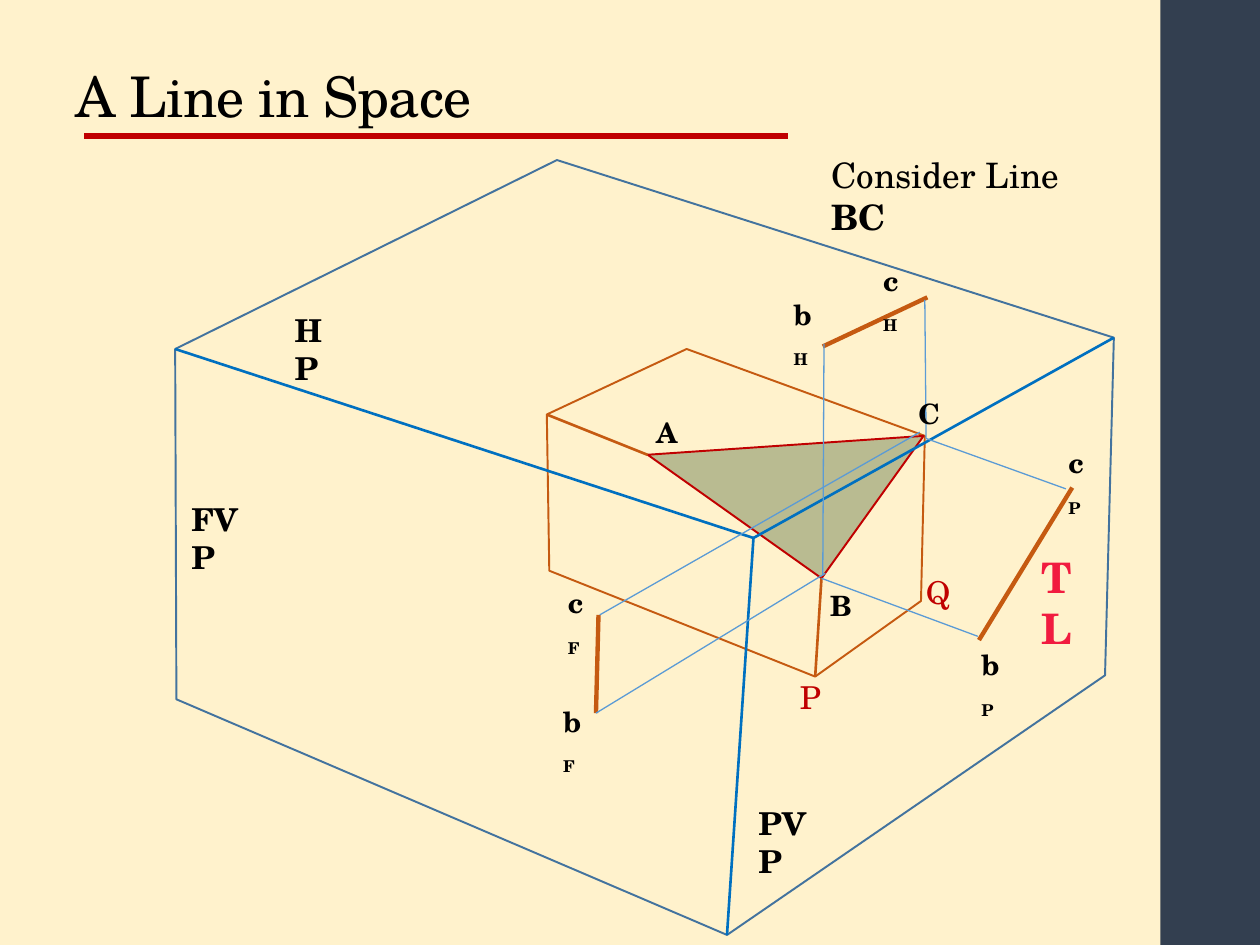
import dataclasses
import typing

import pptx
import pptx.dml.color
import pptx.enum.shapes
import pptx.enum.text
import pptx.oxml.ns
import pptx.oxml.xmlchemy
import pptx.util
from pptx.util import Inches

FONT = "TeX Gyre Schola"
COLORS = {
    "background": "FFF2CC", "panel": "333F50", "text": "000000",
    "red": "C00000", "true_length": "F11B3F", "box": "43739E",
    "fold": "0070C0", "view": "C55A11", "projector": "5B9BD5",
    "plane": "385723",
}
Point = tuple[float, float]


@dataclasses.dataclass(frozen=True)
class Segment:
    start: Point
    end: Point
    color: str
    weight: float


@dataclasses.dataclass(frozen=True)
class Outline:
    points: list[Point]
    color: str
    fill: str | None = None
    opacity: int = 100


@dataclasses.dataclass(frozen=True)
class Label:
    text: str
    left: float
    top: float
    width: float
    height: float = 0.37
    size: int = 16
    color: str = "text"
    bold: bool = True
    subscript: str = ""


def rgb(name: str) -> pptx.dml.color.RGBColor:
    return pptx.dml.color.RGBColor.from_string(COLORS[name])


def apply_font(font: typing.Any, size: float, color: str, bold: bool = False) -> None:
    formats = {"name": FONT, "size": pptx.util.Pt(size), "bold": bold}
    for attribute, value in formats.items():
        setattr(font, attribute, value)
    font.color.rgb = rgb(color)


def draw_segment(shapes: typing.Any, segment: Segment) -> None:
    ends = [Inches(value) for value in segment.start + segment.end]
    line = shapes.add_connector(pptx.enum.shapes.MSO_CONNECTOR.STRAIGHT, *ends)
    line.line.color.rgb = rgb(segment.color)
    line.line.width = pptx.util.Pt(segment.weight)
    line._element.spPr.append(pptx.oxml.xmlchemy.OxmlElement("a:effectLst"))


def draw_outline(shapes: typing.Any, outline: Outline) -> None:
    start, *rest = [(Inches(x), Inches(y)) for x, y in outline.points]
    builder = shapes.build_freeform(*start)
    builder.add_line_segments(rest, close=True)
    solid = builder.convert_to_shape()
    solid.shadow.inherit = False
    solid.line.color.rgb = rgb(outline.color)
    solid.line.width = pptx.util.Pt(1.1)
    if outline.fill is None:
        solid.fill.background()
        return
    solid.fill.solid()
    solid.fill.fore_color.rgb = rgb(outline.fill)
    fill_color = solid._element.spPr.find(
        "/".join(map(pptx.oxml.ns.qn, ("a:solidFill", "a:srgbClr"))))
    alpha = pptx.oxml.xmlchemy.OxmlElement("a:alpha")
    alpha.set("val", str(outline.opacity * 1000))
    fill_color.append(alpha)


def draw_label(shapes: typing.Any, label: Label) -> typing.Any:
    place = (label.left, label.top, label.width, label.height)
    frame = shapes.add_textbox(*map(Inches, place)).text_frame
    frame.word_wrap = True
    frame.auto_size = pptx.enum.text.MSO_AUTO_SIZE.SHAPE_TO_FIT_TEXT
    paragraph = frame.paragraphs[0]
    main_run = paragraph.add_run()
    main_run.text = label.text
    apply_font(main_run.font, label.size, label.color, label.bold)
    if label.subscript:
        index = paragraph.add_run()
        index.text = label.subscript
        apply_font(index.font, label.size, label.color, label.bold)
        index.font._element.set("baseline", "-25000")
    return paragraph


# Corners shared by the lines and solids
BOX_LEFT, BOX_RIGHT = (1.39, 2.77), (8.84, 2.68)
BOX_FRONT, BOX_FOOT = (5.98, 4.27), (5.77, 7.42)
INNER_LEFT, INNER_FOOT = (4.34, 3.29), (6.47, 5.37)
A, B, C = (5.14, 3.61), (6.52, 4.59), (7.33, 3.46)
B_FRONT, C_FRONT = (4.73, 5.66), (4.75, 4.88)
B_TOP, C_TOP = (6.53, 2.75), (7.36, 2.36)
B_SIDE, C_SIDE = (7.77, 5.08), (8.51, 3.87)

INNER_OUTLINES = [
    Outline([INNER_LEFT, (4.36, 4.53), INNER_FOOT, (7.31, 4.77), (7.34, 3.46),
             (5.45, 2.77)], "view"),
    Outline([A, C, B], "red", "plane", 35),
]
INNER_EDGES = [Segment(INNER_LEFT, A, "view", 1.5),
               Segment(B, INNER_FOOT, "view", 1.5)]
OUTER_BOX = Outline([BOX_LEFT, (1.4, 5.55), BOX_FOOT, (8.77, 5.36), BOX_RIGHT,
                     (4.42, 1.27)], "box")
FOLDS = [Segment(end, BOX_FRONT, "fold", 1.5)
         for end in (BOX_LEFT, BOX_RIGHT, BOX_FOOT)]
VIEWS = [Segment(start, end, "view", 2.5) for start, end in
         ((B_FRONT, C_FRONT), (B_TOP, C_TOP), (B_SIDE, C_SIDE))]
PROJECTORS = [Segment(start, end, "projector", 0.75) for start, end in (
    ((7.35, 3.48), (8.46, 3.88)), (B, (7.76, 5.05)),
    ((6.53, 4.57), (6.54, 2.73)), ((7.35, 3.48), (7.34, 2.38)),
    ((6.55, 4.55), B_FRONT), ((7.3, 3.43), (4.76, 4.88)))]

LABELS = [
    Label("b", 4.37, 5.54, 0.39, subscript="F"),
    Label("B", 6.49, 4.62, 0.33),
    Label("A", 5.11, 3.25, 0.34),
    Label("C", 7.19, 3.1, 0.32),
    Label("b", 6.2, 2.31, 0.42, subscript="H"),
    Label("c", 4.41, 4.6, 0.36, subscript="F"),
    Label("c", 6.91, 2.04, 0.39, subscript="H"),
    Label("b", 7.69, 5.09, 0.4, subscript="P"),
    Label("c", 8.38, 3.49, 0.38, subscript="P"),
    Label("TL", 8.17, 4.33, 0.51, 0.5, 24, "true_length"),
    Label("FVP", 1.42, 3.92, 0.6, 0.4, 18),
    Label("HP", 2.24, 2.42, 0.5, 0.4, 18),
    Label("PVP", 5.92, 6.33, 0.62, 0.4, 18),
    Label("P", 6.25, 5.33, 0.37, 0.4, 18, "red", False),
    Label("Q", 7.25, 4.5, 0.4, 0.4, 18, "red", False),
]
CONSIDER = Label("Consider Line ", 6.5, 1.17, 2.11, 0.44, 20, bold=False)


def main() -> None:
    deck = pptx.Presentation()
    deck.slide_width, deck.slide_height = Inches(10), Inches(7.5)
    slide = deck.slides.add_slide(deck.slide_layouts[5])
    shapes = slide.shapes
    slide.background.fill.solid()
    slide.background.fill.fore_color.rgb = rgb("background")

    # Side panel and title rule
    panel = shapes.add_shape(pptx.enum.shapes.MSO_SHAPE.RECTANGLE,
                             Inches(9.21), 0, Inches(0.8), Inches(7.5))
    panel.shadow.inherit = False
    panel.fill.solid()
    panel.fill.fore_color.rgb = rgb("panel")
    panel.line.fill.background()
    draw_segment(shapes, Segment((0.67, 1.08), (6.25, 1.08), "red", 3))

    # Title
    title = shapes.title
    place = {"left": 0.5, "top": 0.08, "width": 7.95, "height": 1}
    for attribute, value in place.items():
        setattr(title, attribute, Inches(value))
    title.text_frame.text = "A Line in Space"
    title.text_frame.vertical_anchor = pptx.enum.text.MSO_ANCHOR.BOTTOM
    title.text_frame.auto_size = pptx.enum.text.MSO_AUTO_SIZE.NONE
    heading = title.text_frame.paragraphs[0]
    heading.alignment = pptx.enum.text.PP_ALIGN.LEFT
    heading.line_spacing = 0.9
    heading_font = heading.runs[0].font
    apply_font(heading_font, 32, "text")
    heading_font._element.set("spc", "-50")

    # Inner solid with the plane ABC
    inner = shapes.add_group_shape().shapes
    for outline in INNER_OUTLINES:
        draw_outline(inner, outline)
    for edge in INNER_EDGES:
        draw_segment(inner, edge)

    # Projection box, views of BC and projectors
    draw_outline(shapes, OUTER_BOX)
    for segment in FOLDS + VIEWS + PROJECTORS:
        draw_segment(shapes, segment)

    # Labels
    for label in LABELS:
        draw_label(shapes, label)
    line_name = draw_label(shapes, CONSIDER).add_run()
    line_name.text = "BC"
    apply_font(line_name.font, CONSIDER.size, CONSIDER.color, True)

    deck.save("out.pptx")


if __name__ == "__main__":
    main()
